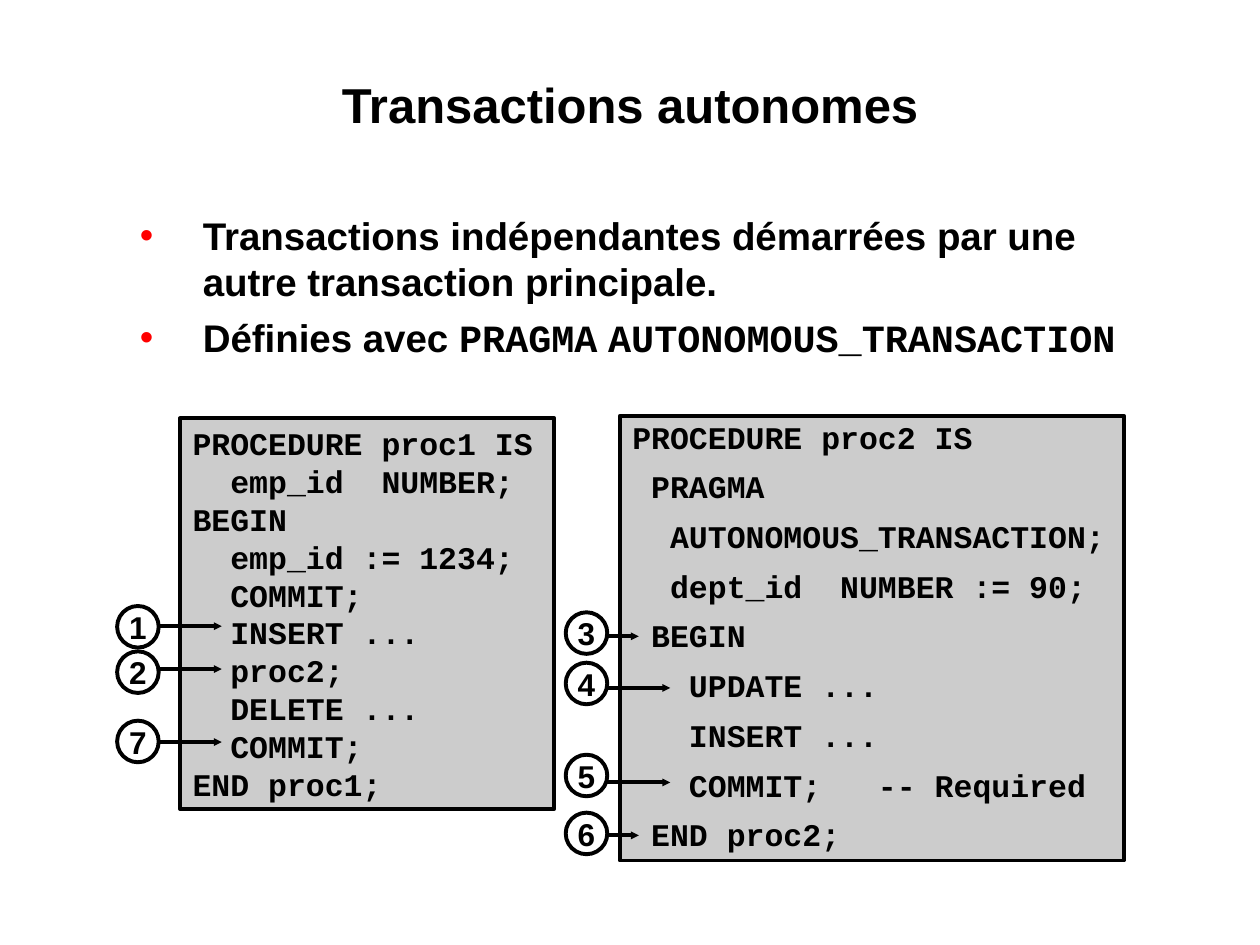
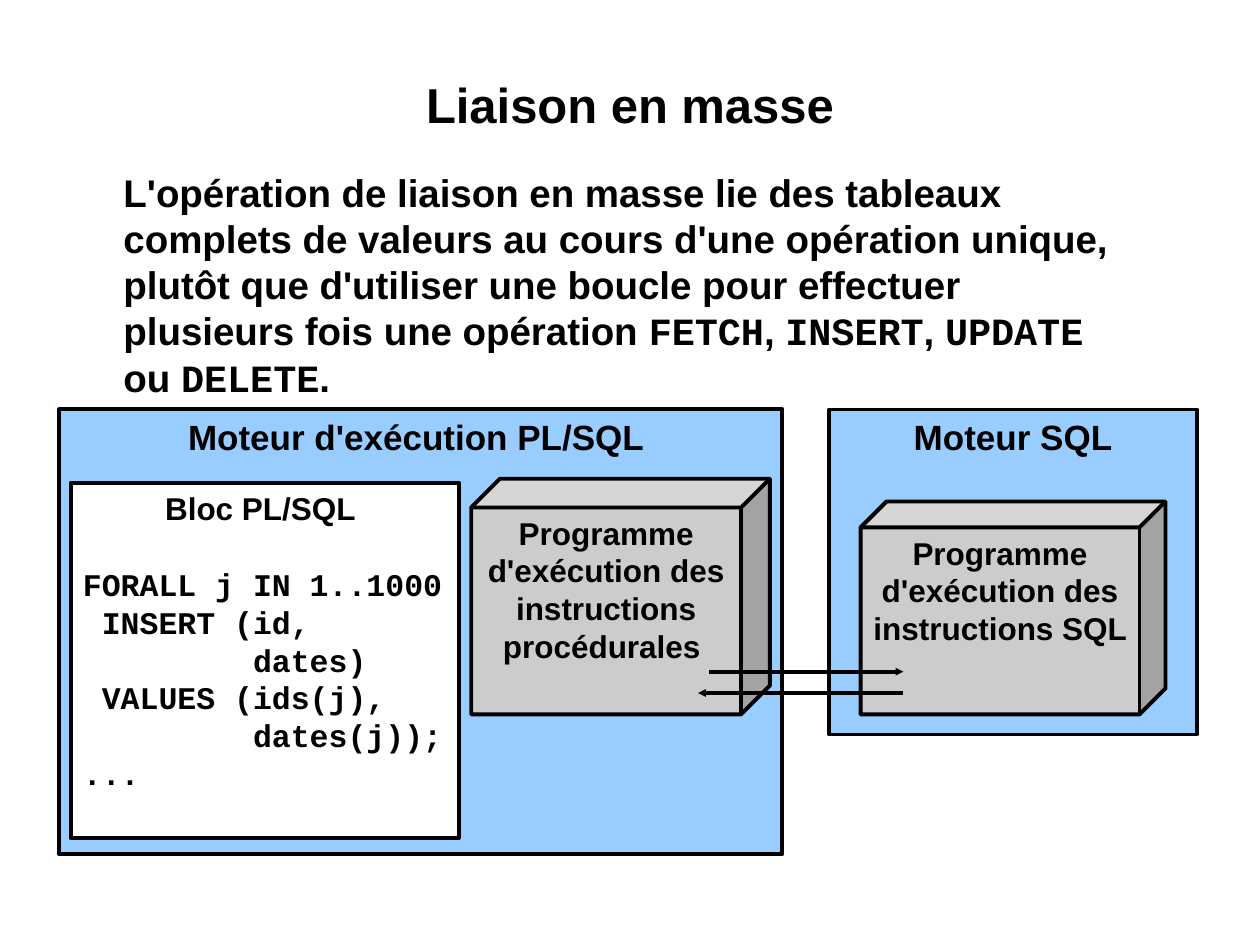
"""Build two slides on autonomous transactions and bulk binding in PL/SQL."""
from dataclasses import dataclass

from lxml import etree
from pptx import Presentation
from pptx import util as u
from pptx.dml.color import RGBColor
from pptx.enum import shapes, text
from pptx.oxml import ns


@dataclass(frozen=True)
class Theme:
    ink: RGBColor = RGBColor(0, 0, 0)
    white: RGBColor = RGBColor(255, 255, 255)
    code_fill: RGBColor = RGBColor(0xCC, 0xCC, 0xCC)
    engine_fill: RGBColor = RGBColor(0x99, 0xCC, 0xFF)
    bullet: str = "FF0000"
    sans: str = "Arial"
    mono: str = "Courier New"
    title_size: int = 28
    body_size: int = 22
    engine_size: int = 20
    label_size: int = 18
    line_width: float = 2.25


theme = Theme()
LEFT, CENTER = text.PP_ALIGN.LEFT, text.PP_ALIGN.CENTER
TOP, MIDDLE = text.MSO_ANCHOR.TOP, text.MSO_ANCHOR.MIDDLE


def write(shape, lines, size=theme.label_size, font=theme.sans, align=LEFT, anchor=TOP,
          wrap=True, inset=(0.1, 0.05), before=0, spacing=None, bullet=None):
    """Add lines to a shape, setting the parts between backticks in the code font."""
    frame = shape.text_frame
    frame.auto_size = text.MSO_AUTO_SIZE.NONE
    frame.word_wrap = wrap
    frame.vertical_anchor = anchor
    frame.margin_left = frame.margin_right = u.Inches(inset[0])
    frame.margin_top = frame.margin_bottom = u.Inches(inset[1])
    for line in lines:
        first = not frame.text
        paragraph = frame.paragraphs[0] if first else frame.add_paragraph()
        properties = paragraph._p.get_or_add_pPr()
        properties.set("marL", str(u.Inches(0.63 if bullet else 0)))
        properties.set("indent", str(u.Inches(-0.5 if bullet else 0)))
        if bullet:
            color = etree.SubElement(properties, ns.qn("a:buClr"))
            etree.SubElement(color, ns.qn("a:srgbClr"), val=theme.bullet)
            etree.SubElement(properties, ns.qn("a:buChar"), char=bullet)
        else:
            etree.SubElement(properties, ns.qn("a:buNone"))
        paragraph.alignment = align
        paragraph.space_before = u.Pt(0 if first else before)
        if spacing:
            paragraph.line_spacing = spacing
        for index, part in enumerate(line.split("`")):
            if part:
                run = paragraph.add_run()
                run.text = part
                run.font.name = theme.mono if index % 2 else font
                run.font.size = u.Pt(size)
                run.font.bold = True
                run.font.color.rgb = theme.ink


def add_box(slide, kind, place, fill, lines, **text_format):
    """Add an outlined shape holding formatted text."""
    shape = slide.shapes.add_shape(kind, *map(u.Inches, place))
    shape.shadow.inherit = False
    if fill is None:
        shape.fill.background()
    else:
        shape.fill.solid()
        shape.fill.fore_color.rgb = fill
    shape.line.color.rgb = theme.ink
    shape.line.width = u.Pt(theme.line_width)
    write(shape, lines, **text_format)
    return shape


presentation = Presentation()
presentation.slide_width, presentation.slide_height = u.Inches(10), u.Inches(7.5)

pages = [
    ("Transactions autonomes", (0.97, 1.67, 8.06, 1.2), "•", [
        "Transactions indépendantes démarrées par une autre transaction principale.",
        "Définies avec `PRAGMA` `AUTONOMOUS_TRANSACTION`",
    ]),
    ("Liaison en masse", (0.97, 1.33, 8.06, 1.86), None, [
        "L'opération de liaison en masse lie des tableaux complets de valeurs au cours "
        "d'une opération unique, plutôt que d'utiliser une boucle pour effectuer plusieurs "
        "fois une opération `FETCH`, `INSERT`, `UPDATE` ou `DELETE`.",
    ]),
]
slides = []
for heading, body_place, bullet, body_lines in pages:
    slide = presentation.slides.add_slide(presentation.slide_layouts[1])
    title, body = slide.placeholders
    for placeholder, place in ((title, (1, 0.58, 8, 0.96)), (body, body_place)):
        (placeholder.left, placeholder.top,
         placeholder.width, placeholder.height) = map(u.Inches, place)
    write(title, [heading], size=theme.title_size, align=CENTER, inset=(0.01, 0.01))
    write(body, body_lines, size=theme.body_size, inset=(0.01, 0.01),
          before=5.5, bullet=bullet)
    slides.append(slide)
transactions, bulk = slides

RECTANGLE = shapes.MSO_SHAPE.RECTANGLE
proc1 = """PROCEDURE proc1 IS
  emp_id  NUMBER;
BEGIN
  emp_id := 1234;
  COMMIT;
  INSERT ...
  proc2;
  DELETE ...
  COMMIT;
END proc1;"""
proc2 = """PROCEDURE proc2 IS
 PRAGMA
  AUTONOMOUS_TRANSACTION;
  dept_id  NUMBER := 90;
 BEGIN
   UPDATE ...
   INSERT ...
   COMMIT;   -- Required
 END proc2;"""
add_box(transactions, RECTANGLE, (1.43, 3.32, 2.97, 3.1), theme.code_fill,
        proc1.splitlines(), font=theme.mono)
procedure = add_box(transactions, RECTANGLE, (4.92, 3.3, 4, 3.53), theme.code_fill,
                    proc2.splitlines(), font=theme.mono, before=7.9, spacing=0.95)
procedure.text_frame.paragraphs[0].line_spacing = 0.9

arrows = []
steps = [
    ("1", 0.93, 4.81, 4.97, 0.5), ("2", 0.93, 5.17, 5.31, 0.5),
    ("7", 0.93, 5.72, 5.89, 0.5), ("3", 4.49, 4.86, 5.05, 0.25),
    ("4", 4.49, 5.26, 5.46, 0.5), ("5", 4.49, 5.99, 6.21, 0.5),
    ("6", 4.49, 6.45, 6.63, 0.25),
]
for number, left, top, arrow_y, length in steps:
    add_box(transactions, shapes.MSO_SHAPE.OVAL, (left, top, 0.33, 0.33), None, [number],
            align=CENTER, anchor=MIDDLE, wrap=False)
    arrow_x = left + 0.33
    arrows.append((transactions, arrow_x, arrow_y, arrow_x + length, arrow_y))

engines = [
    ("Moteur SQL", (6.58, 3.25, 2.92, 2.58)),
    ("Moteur d'exécution PL/SQL ", (0.47, 3.25, 5.74, 3.53)),
]
for label, place in engines:
    add_box(bulk, RECTANGLE, place, theme.engine_fill, [label],
            size=theme.engine_size, align=CENTER, wrap=False)

executors = [("SQL", (6.83, 3.98, 2.42, 1.69)), ("procédurales", (3.74, 3.8, 2.37, 1.87))]
for instructions, place in executors:
    cube = add_box(bulk, shapes.MSO_SHAPE.CUBE, place, theme.code_fill,
                   [f"Programme d'exécution des instructions {instructions} "], align=CENTER)
    cube.adjustments[0] = 0.122

forall = """FORALL j IN 1..1000
 INSERT (id,
         dates)
 VALUES (ids(j),
         dates(j));
..."""
block = add_box(bulk, RECTANGLE, (0.56, 3.83, 3.08, 2.82), theme.white,
                ["Bloc PL/SQL "] + [f"`{line}`" for line in forall.splitlines()])
block_title, first_statement = block.text_frame.paragraphs[:2]
block_title.alignment = CENTER
first_statement.space_before = u.Pt(22)

arrows += [(bulk, 5.63, 5.33, 7.17, 5.33), (bulk, 7.17, 5.5, 5.54, 5.5)]
for slide, *ends in arrows:
    arrow = slide.shapes.add_connector(shapes.MSO_CONNECTOR.STRAIGHT, *map(u.Inches, ends))
    arrow.line.color.rgb = theme.ink
    arrow.line.width = u.Pt(theme.line_width)
    etree.SubElement(arrow.line._get_or_add_ln(), ns.qn("a:tailEnd"),
                     type="triangle", w="sm", len="sm")
    etree.SubElement(arrow._element.spPr, ns.qn("a:effectLst"))

presentation.save("out.pptx")
